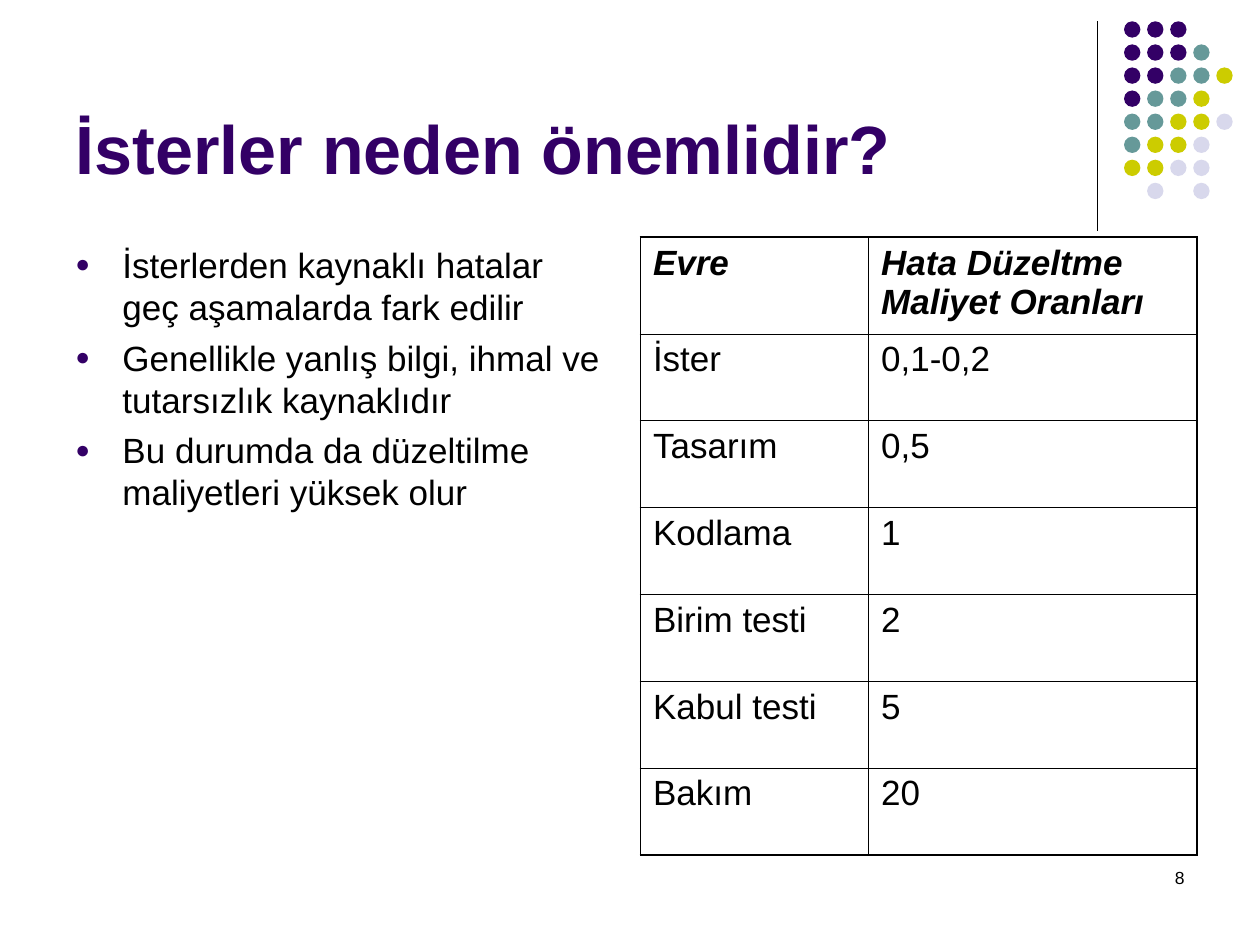
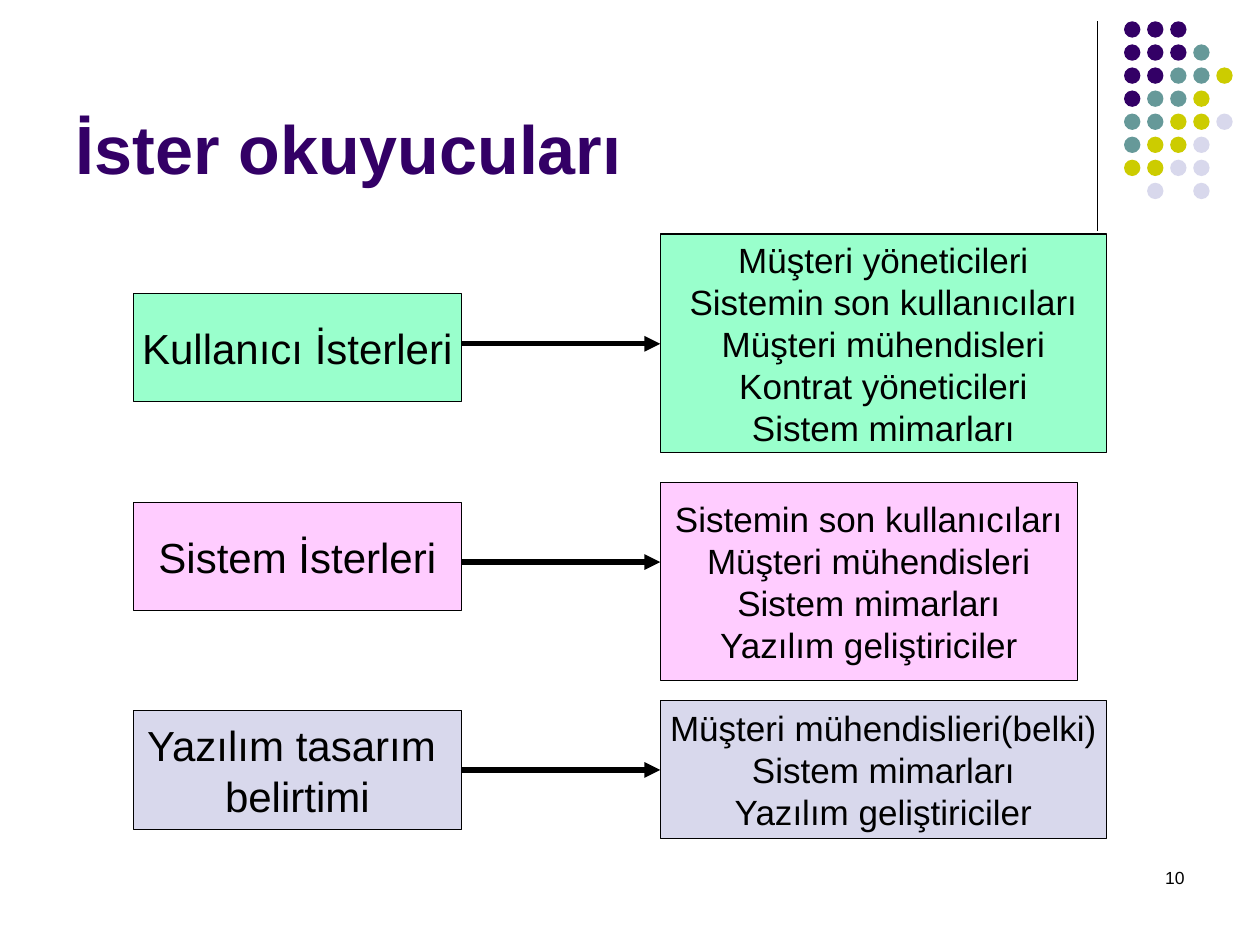
from lxml import etree
from pptx import Presentation
from pptx.dml.color import RGBColor
from pptx.enum.shapes import MSO_CONNECTOR, MSO_SHAPE
from pptx.enum.text import MSO_ANCHOR, MSO_AUTO_SIZE, PP_ALIGN
from pptx.oxml.ns import qn
from pptx.util import Cm, Pt

LEFT, CENTER, RIGHT = PP_ALIGN.LEFT, PP_ALIGN.CENTER, PP_ALIGN.RIGHT
TOP, MIDDLE, BOTTOM = MSO_ANCHOR.TOP, MSO_ANCHOR.MIDDLE, MSO_ANCHOR.BOTTOM
RECTANGLE, OVAL = MSO_SHAPE.RECTANGLE, MSO_SHAPE.OVAL
STRAIGHT, NO_FIT = MSO_CONNECTOR.STRAIGHT, MSO_AUTO_SIZE.NONE

FONT = "Arial"
BLACK, PURPLE, TEAL, OLIVE, LAVENDER = "000000", "330066", "669999", "CCCC00", "D8D8EC"
MINT, PINK = "99FFCC", "FFCCFF"
DOT_COLORS = {"P": PURPLE, "T": TEAL, "O": OLIVE, "L": LAVENDER}
DOT_ROWS = ["PPP", "PPPT", "PPTTO", "PTTO", "TTOOL", "TOOL", "OOLL", " L L"]
DOT_LEFT, DOT_TOP, DOT_PITCH, DOT_SIZE = 22.66, 0.43, 0.465, 0.33

TITLE_FORMAT = {"size": Pt(39), "bold": True}
BODY_FORMAT = {"size": Pt(20), "bold": False}
HEADER_FORMAT = {"size": Pt(20), "bold": True, "italic": True}
LABEL_FORMAT = {"size": Pt(24)}
NUMBER_FORMAT = {"size": Pt(10)}

IMPORTANCE = {
    "title": "İsterler neden önemlidir?",
    "number": "8",
    "bullets": [
        "İsterlerden kaynaklı hatalar geç aşamalarda fark edilir",
        "Genellikle yanlış bilgi, ihmal ve tutarsızlık kaynaklıdır",
        "Bu durumda da düzeltilme maliyetleri yüksek olur",
    ],
    "costs": [
        ("Evre", "Hata Düzeltme Maliyet Oranları"),
        ("İster ", "0,1-0,2"),
        ("Tasarım ", "0,5"),
        ("Kodlama ", "1"),
        ("Birim testi", "2"),
        ("Kabul testi", "5"),
        ("Bakım ", "20"),
    ],
}
COLUMN_WIDTHS = [4.6, 6.62]
HEADER_HEIGHT, ROW_HEIGHT = 1.95, 1.75
THICK, THIN = 1.08, 0.45

READERS = {
    "title": "İster okuyucuları",
    "number": "10",
    "flows": [
        {"color": MINT, "label": ["Kullanıcı İsterleri"], "label_span": (5.92, 2.18),
         "readers": ["Müşteri yöneticileri", "Sistemin son kullanıcıları",
                     "Müşteri mühendisleri", "Kontrat yöneticileri", "Sistem mimarları"],
         "reader_span": (4.72, 4.4), "reader_width": 9.0, "arrow": 6.93},
        {"color": PINK, "label": ["Sistem İsterleri"], "label_span": (10.13, 2.18),
         "readers": ["Sistemin son kullanıcıları", "Müşteri mühendisleri",
                     "Sistem mimarları", "Yazılım geliştiriciler"],
         "reader_span": (9.73, 3.99), "reader_width": 8.41, "arrow": 11.33},
        {"color": LAVENDER, "label": ["Yazılım tasarım ", "belirtimi"],
         "label_span": (14.33, 2.39),
         "readers": ["Müşteri mühendislieri(belki)", "Sistem mimarları",
                     "Yazılım geliştiriciler"],
         "reader_span": (14.12, 2.79), "reader_width": 9.0, "arrow": 15.52},
    ],
}
LABEL_LEFT, LABEL_WIDTH, READER_LEFT = 2.69, 6.61, 13.31


def rgb(value):
    """Turn a hex string into a colour."""
    return RGBColor.from_string(value)


def apply(target, values):
    """Set several attributes on one object."""
    for name, value in values.items():
        setattr(target, name, value)


def write(frame, lines, font, color=BLACK, align=LEFT, anchor=TOP, wrap=True, before=0):
    """Fill a text frame with one formatted paragraph per line."""
    frame.text = "\n".join(lines)
    apply(frame, {"word_wrap": wrap, "vertical_anchor": anchor, "auto_size": NO_FIT})
    for paragraph in frame.paragraphs:
        apply(paragraph, {"alignment": align, "space_before": Pt(before)})
        for run in paragraph.runs:
            apply(run.font, {"name": FONT, **font})
            run.font.color.rgb = rgb(color)


def add_shape(shapes, kind, left, top, width, height, fill, line_width=0):
    """Add a flat preset shape with an optional black outline."""
    shape = shapes.add_shape(kind, Cm(left), Cm(top), Cm(width), Cm(height))
    shape.shadow.inherit = False
    shape.fill.solid()
    shape.fill.fore_color.rgb = rgb(fill)
    if line_width:
        shape.line.color.rgb = rgb(BLACK)
        shape.line.width = Pt(line_width)
    else:
        shape.line.fill.background()
    return shape


def add_line(slide, start, end, width, arrow=False):
    """Draw a straight black line, with an arrowhead at its end if asked."""
    connector = slide.shapes.add_connector(STRAIGHT, *map(Cm, start + end))
    connector.line.color.rgb = rgb(BLACK)
    connector.line.width = Pt(width)
    if arrow:
        etree.SubElement(connector.line._get_or_add_ln(), qn("a:tailEnd"), type="triangle")
    etree.SubElement(connector.element.spPr, qn("a:effectLst"))


def add_text(slide, left, top, width, height, lines, font, **options):
    """Add a text box and return its text frame."""
    box = slide.shapes.add_textbox(Cm(left), Cm(top), Cm(width), Cm(height))
    write(box.text_frame, lines, font, **options)
    return box.text_frame


def add_slide(presentation, content):
    """Start a slide with the dot pattern, title and page number."""
    slide = presentation.slides.add_slide(presentation.slide_layouts[5])
    add_line(slide, (22.12, 0.43), (22.12, 4.65), 0.74)
    dots = slide.shapes.add_group_shape()
    for row, codes in enumerate(DOT_ROWS):
        for column, code in enumerate(codes):
            if code in DOT_COLORS:
                add_shape(dots.shapes, OVAL, DOT_LEFT + column * DOT_PITCH,
                          DOT_TOP + row * DOT_PITCH, DOT_SIZE, DOT_SIZE, DOT_COLORS[code])
    title = slide.shapes.title
    apply(title, {"left": Cm(1.27), "top": Cm(0.33), "width": Cm(20.95), "height": Cm(3.6)})
    write(title.text_frame, [content["title"]], TITLE_FORMAT, color=PURPLE, anchor=BOTTOM)
    add_text(slide, 18.2, 17.35, 5.93, 1.27, [content["number"]], NUMBER_FORMAT, align=RIGHT)
    return slide


def add_bullets(frame):
    """Give each paragraph a hanging round bullet."""
    for paragraph in frame.paragraphs:
        properties = paragraph._p.get_or_add_pPr()
        properties.set("marL", str(Cm(0.95)))
        properties.set("indent", str(Cm(-0.95)))
        color = etree.SubElement(properties, qn("a:buClr"))
        etree.SubElement(color, qn("a:srgbClr"), val=PURPLE)
        etree.SubElement(properties, qn("a:buSzPct"), val="70000")
        etree.SubElement(properties, qn("a:buFont"), typeface=FONT)
        etree.SubElement(properties, qn("a:buChar"), char="●")


def set_borders(cell, widths):
    """Draw the left, right, top and bottom borders of a cell."""
    properties = cell._tc.get_or_add_tcPr()
    for side, width in zip("LRTB", widths):
        line = etree.SubElement(properties, qn(f"a:ln{side}"), w=str(Pt(width)))
        fill = etree.SubElement(line, qn("a:solidFill"))
        etree.SubElement(fill, qn("a:srgbClr"), val=BLACK)


def add_cost_table(slide, rows):
    """Add the table of costs with a thicker outer frame."""
    heights = [HEADER_HEIGHT] + [ROW_HEIGHT] * (len(rows) - 1)
    frame = slide.shapes.add_table(len(rows), len(COLUMN_WIDTHS), Cm(12.91), Cm(4.78),
                                   Cm(sum(COLUMN_WIDTHS)), Cm(sum(heights)))
    table = frame.table
    apply(table, {"first_row": False, "horz_banding": False})
    for column, width in zip(table.columns, COLUMN_WIDTHS):
        column.width = Cm(width)
    last_row, last_column = len(rows) - 1, len(COLUMN_WIDTHS) - 1
    for row, texts in enumerate(rows):
        table.rows[row].height = Cm(heights[row])
        for column, text in enumerate(texts):
            cell = table.cell(row, column)
            write(cell.text_frame, [text], BODY_FORMAT if row else HEADER_FORMAT, before=5)
            outer = (column == 0, column == last_column, row == 0, row == last_row)
            set_borders(cell, [THICK if edge else THIN for edge in outer])
            cell.fill.background()


def add_box(slide, left, span, width, color, lines, font):
    """Add an outlined box with centred lines of text."""
    top, height = span
    box = add_shape(slide.shapes, RECTANGLE, left, top, width, height, color, 0.74)
    write(box.text_frame, lines, font, align=CENTER, anchor=MIDDLE, wrap=False)


def build_importance(presentation):
    """Build the slide with the bullets and the cost table."""
    slide = add_slide(presentation, IMPORTANCE)
    add_bullets(add_text(slide, 1.27, 4.78, 11.23, 12.24, IMPORTANCE["bullets"],
                         BODY_FORMAT, before=5))
    add_cost_table(slide, IMPORTANCE["costs"])


def build_readers(presentation):
    """Build the slide that links each document to its readers."""
    slide = add_slide(presentation, READERS)
    for flow in READERS["flows"]:
        add_box(slide, LABEL_LEFT, flow["label_span"], LABEL_WIDTH, flow["color"],
                flow["label"], LABEL_FORMAT)
        add_box(slide, READER_LEFT, flow["reader_span"], flow["reader_width"], flow["color"],
                flow["readers"], BODY_FORMAT)
        add_line(slide, (LABEL_LEFT + LABEL_WIDTH, flow["arrow"]),
                 (READER_LEFT, flow["arrow"]), 3, arrow=True)


def main():
    """Build and save the presentation."""
    presentation = Presentation()
    apply(presentation, {"slide_width": Cm(25.4), "slide_height": Cm(19.05)})
    build_importance(presentation)
    build_readers(presentation)
    presentation.save("out.pptx")


main()
